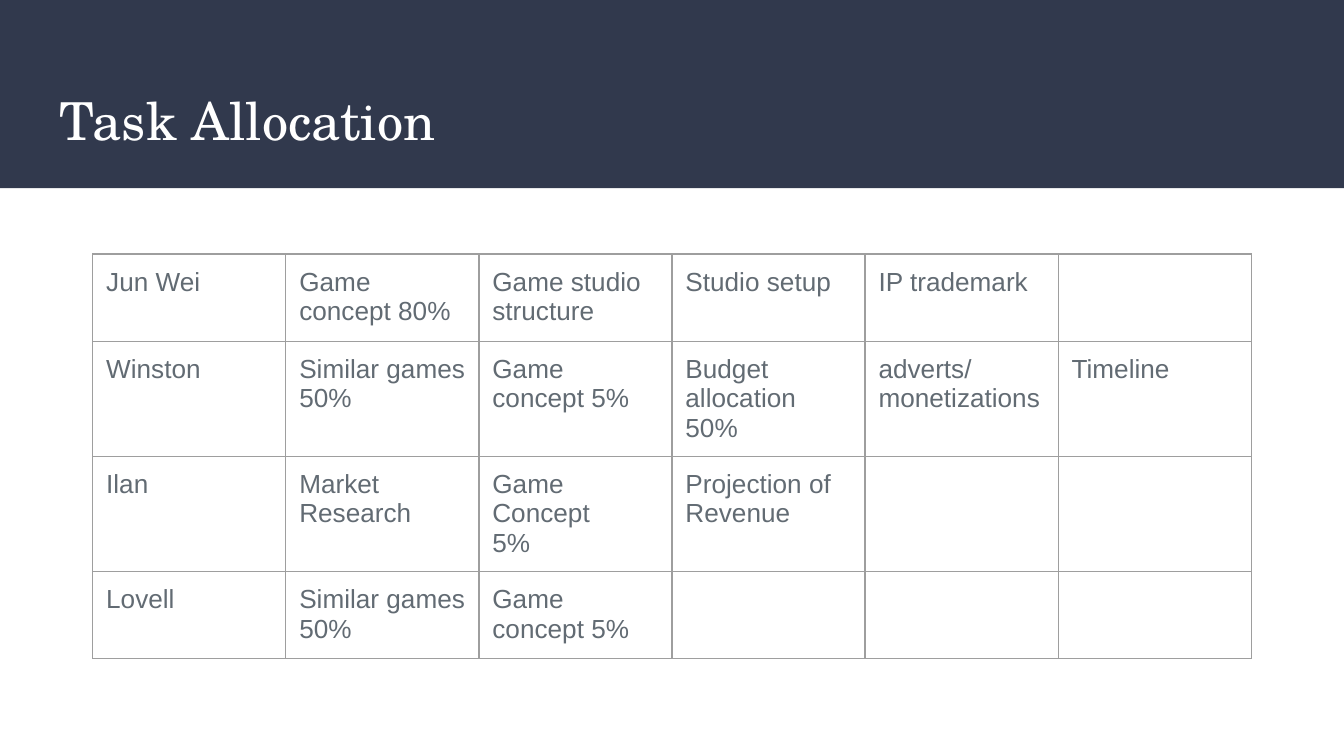
from lxml import etree
from pptx import Presentation
from pptx.dml.color import RGBColor
from pptx.enum.shapes import MSO_SHAPE
from pptx.enum.text import MSO_ANCHOR, PP_ALIGN
from pptx.oxml.ns import qn
from pptx.util import Inches, Pt

RECT = MSO_SHAPE.RECTANGLE
MIDDLE = MSO_ANCHOR.MIDDLE
LEFT = PP_ALIGN.LEFT

NAVY = RGBColor(0x31, 0x39, 0x4D)
WHITE = RGBColor(0xFF, 0xFF, 0xFF)
SLATE = RGBColor(0x62, 0x6B, 0x73)
GREY = RGBColor(0x9E, 0x9E, 0x9E)

PAD = Inches(0.1)
ROW = Inches(0.65)

TASKS = [
    ["Jun Wei", "Game concept 80%", "Game studio\nstructure", "Studio setup", "IP trademark", ""],
    ["Winston", "Similar games 50%", "Game concept 5%", "Budget allocation 50%",
     "adverts/\nmonetizations", "Timeline"],
    ["Ilan", "Market Research", "Game Concept\n5%", "Projection of Revenue", "", ""],
    ["Lovell", "Similar games 50%", "Game concept 5%", "", "", ""],
]


def set_border(cell):
    props = cell._tc.get_or_add_tcPr()
    for i, side in enumerate(("a:lnL", "a:lnR", "a:lnT", "a:lnB")):
        line = etree.Element(qn(side), w=str(Pt(0.75)))
        fill = etree.SubElement(line, qn("a:solidFill"))
        etree.SubElement(fill, qn("a:srgbClr"), val=str(GREY))
        props.insert(i, line)


deck = Presentation()
deck.slide_width = Inches(10)
deck.slide_height = deck.slide_width * 9 // 16
slide = deck.slides.add_slide(deck.slide_layouts[5])
wide = deck.slide_width

# Title on its band
title = slide.shapes.title
band = slide.shapes.add_shape(RECT, 0, 0, wide, Inches(1.4))
band.shadow.inherit = False
band.fill.solid()
band.fill.fore_color.rgb = NAVY
band.line.fill.background()
title.element.addprevious(band.element)

title.left, title.top = Inches(0.34), Inches(0.55)
title.width, title.height = wide - 2 * title.left, Inches(0.68)
frame = title.text_frame
frame.text = "Task Allocation"
frame.vertical_anchor = MIDDLE
frame.margin_left = frame.margin_right = PAD
frame.margin_top = frame.margin_bottom = PAD
head = frame.paragraphs[0]
head.alignment = LEFT
head.font.name = "TeX Gyre Schola"
head.font.size = Pt(28)
head.font.color.rgb = WHITE

# Tasks, one row for each person
rows, cols = len(TASKS), len(TASKS[0])
left, top = Inches(0.69), Inches(1.89)
span = wide - 2 * left
table = slide.shapes.add_table(rows, cols, left, top, span, rows * ROW).table
table.first_row = False
table.horz_banding = False
for row, tasks in zip(table.rows, TASKS):
    row.height = ROW
    for cell, task in zip(row.cells, tasks):
        cell.text = task
        cell.margin_left = cell.margin_right = PAD
        cell.margin_top = cell.margin_bottom = PAD
        cell.fill.background()
        set_border(cell)
        for para in cell.text_frame.paragraphs:
            para.font.name = "Arial"
            para.font.size = Pt(14)
            para.font.color.rgb = SLATE

deck.save("out.pptx")
